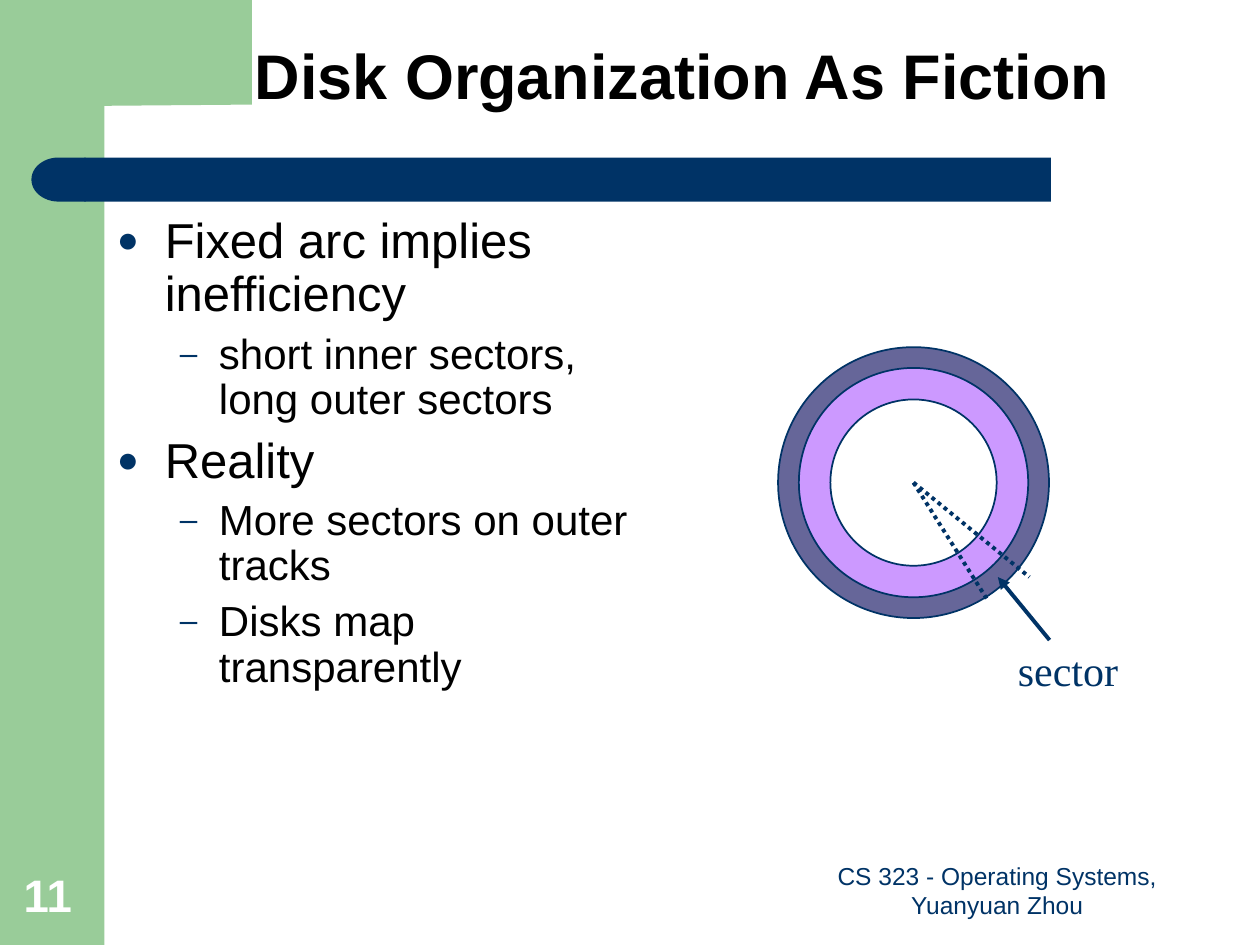
import pptx
import pptx.dml.color
import pptx.enum.dml
import pptx.enum.shapes
import pptx.enum.text
import pptx.oxml.ns
import pptx.util
from lxml import etree

Inches = pptx.util.Inches
Pt = pptx.util.Pt
qn = pptx.oxml.ns.qn
SHAPES = pptx.enum.shapes.MSO_SHAPE
ALIGN = pptx.enum.text.PP_ALIGN
ANCHOR = pptx.enum.text.MSO_ANCHOR
ROUND_DOT = pptx.enum.dml.MSO_LINE.ROUND_DOT

GREEN, NAVY, BLACK, WHITE = "99CC99", "003366", "000000", "FFFFFF"


def color(hex_code):
    return pptx.dml.color.RGBColor.from_string(hex_code)


class SlideWriter:
    # bullet, left margin, hanging indent, size, space before
    LEVELS = (("●", 0.38, 0.38, 28, 7), ("–", 0.81, 0.31, 24, 6))

    def __init__(self, slide):
        self.slide = slide

    def paint(self, shape, fill, outline=None):
        shape.shadow.inherit = False
        shape.fill.solid()
        shape.fill.fore_color.rgb = color(fill)
        if outline:
            shape.line.color.rgb = color(outline)
            shape.line.width = Pt(1)
        else:
            shape.line.fill.background()
        return shape

    def shape(self, kind, left, top, width, height, fill, outline=None):
        added = self.slide.shapes.add_shape(
            kind, Inches(left), Inches(top), Inches(width), Inches(height))
        return self.paint(added, fill, outline)

    def outline_shape(self, points, fill):
        """Fill a closed polygon given in hundredths of an inch."""
        builder = self.slide.shapes.build_freeform(*points[0], scale=Inches(0.01))
        builder.add_line_segments(points[1:], close=True)
        return self.paint(builder.convert_to_shape(), fill)

    def ring(self, center, diameter, fill):
        x, y = center
        self.shape(SHAPES.OVAL, x - diameter / 2, y - diameter / 2,
                   diameter, diameter, fill, NAVY)

    def line(self, start, end, dash=None, arrow=False):
        connector = self.slide.shapes.add_connector(
            pptx.enum.shapes.MSO_CONNECTOR.STRAIGHT,
            *(Inches(value) for value in start + end))
        connector.line.color.rgb = color(NAVY)
        connector.line.width = Pt(2.25)
        if dash:
            connector.line.dash_style = dash
        if arrow:
            etree.SubElement(connector.line._get_or_add_ln(), qn("a:tailEnd"),
                             type="triangle")
        etree.SubElement(connector._element.spPr, qn("a:effectLst"))

    def frame(self, left, top, width, height, anchor=ANCHOR.TOP, wrap=True):
        box = self.slide.shapes.add_textbox(
            Inches(left), Inches(top), Inches(width), Inches(height))
        box.text_frame.word_wrap = wrap
        box.text_frame.vertical_anchor = anchor
        return box.text_frame

    def style(self, paragraph, size, hex_code, font="Arial", bold=False):
        paragraph.font.name = font
        paragraph.font.size = Pt(size)
        paragraph.font.bold = bold
        paragraph.font.color.rgb = color(hex_code)

    def text(self, words, at, size, hex_code, font="Arial", bold=False,
             align=ALIGN.LEFT, anchor=ANCHOR.TOP, wrap=True):
        frame = self.frame(*at, anchor, wrap)
        paragraph = frame.paragraphs[0]
        paragraph.text = words
        paragraph.alignment = align
        self.style(paragraph, size, hex_code, font, bold)
        return frame

    def outline(self, at, points):
        """Write a bulleted list of (level, words) pairs."""
        frame = self.frame(*at)
        for index, (level, words) in enumerate(points):
            bullet, margin, hanging, size, before = self.LEVELS[level]
            paragraph = frame.add_paragraph() if index else frame.paragraphs[0]
            paragraph.text = words
            paragraph.level = level
            paragraph.line_spacing = 0.9
            paragraph.space_before = Pt(before)
            properties = paragraph._p.get_or_add_pPr()
            properties.set("marL", str(Inches(margin)))
            properties.set("indent", str(-Inches(hanging)))
            bullet_color = etree.SubElement(properties, qn("a:buClr"))
            etree.SubElement(bullet_color, qn("a:srgbClr"), val=NAVY)
            etree.SubElement(properties, qn("a:buSzPct"), val="75000")
            etree.SubElement(properties, qn("a:buFont"), typeface="Arial")
            etree.SubElement(properties, qn("a:buChar"), char=bullet)
            self.style(paragraph, size, BLACK)


def draw_background(writer):
    writer.shape(SHAPES.RECTANGLE, 0, 0, 0.83, 7.5, GREEN)
    writer.outline_shape(
        [(200, 0), (200, 83), (83, 84), (77, 85), (71, 92), (68, 104),
         (67, 116), (67, 128), (50, 128), (50, 0)], GREEN)
    title_bar = writer.shape(SHAPES.ROUNDED_RECTANGLE, 0.67, 1.25, 7.67, 0.35, NAVY)
    title_bar.adjustments[0] = 0
    bar_cap = writer.shape(SHAPES.FLOWCHART_DELAY, 0.25, 1.25, 0.43, 0.35, NAVY)
    bar_cap._element.spPr.find(qn("a:xfrm")).set("flipH", "1")


def draw_disk(writer):
    center = (7.25, 3.83)
    for diameter, fill in ((2.15, "666699"), (1.82, "CC99FF"), (1.32, WHITE)):
        writer.ring(center, diameter, fill)
    for sector_edge in ((7.83, 4.75), (8.17, 4.58)):
        writer.line(center, sector_edge, dash=ROUND_DOT)
    writer.line((8.33, 5.08), (7.92, 4.58), arrow=True)
    label = writer.text("sector", (7.98, 5.07, 1, 0.5), 24, NAVY,
                        font="Times New Roman", wrap=False)
    label.auto_size = pptx.enum.text.MSO_AUTO_SIZE.SHAPE_TO_FIT_TEXT


def main():
    deck = pptx.Presentation()
    deck.slide_width, deck.slide_height = Inches(10), Inches(7.5)
    writer = SlideWriter(deck.slides.add_slide(deck.slide_layouts[6]))

    draw_background(writer)
    title = writer.text("Disk Organization As Fiction", (1.08, 0, 8.67, 1.25), 36,
                        BLACK, bold=True, align=ALIGN.CENTER, anchor=ANCHOR.MIDDLE)
    title.paragraphs[0].line_spacing = 0.9
    writer.outline((0.83, 1.67, 4.54, 5.17), [
        (0, "Fixed arc implies inefficiency"),
        (1, "short inner sectors, long outer sectors"),
        (0, "Reality"),
        (1, "More sectors on outer tracks"),
        (1, "Disks map transparently"),
    ])
    draw_disk(writer)
    writer.text("CS 323 - Operating Systems, Yuanyuan Zhou", (6.33, 6.83, 3.17, 0.52),
                14, NAVY, align=ALIGN.CENTER, anchor=ANCHOR.BOTTOM)
    writer.text("11", (0.09, 6.83, 0.64, 0.53), 26, WHITE, bold=True,
                anchor=ANCHOR.BOTTOM)
    deck.save("out.pptx")


if __name__ == "__main__":
    main()
